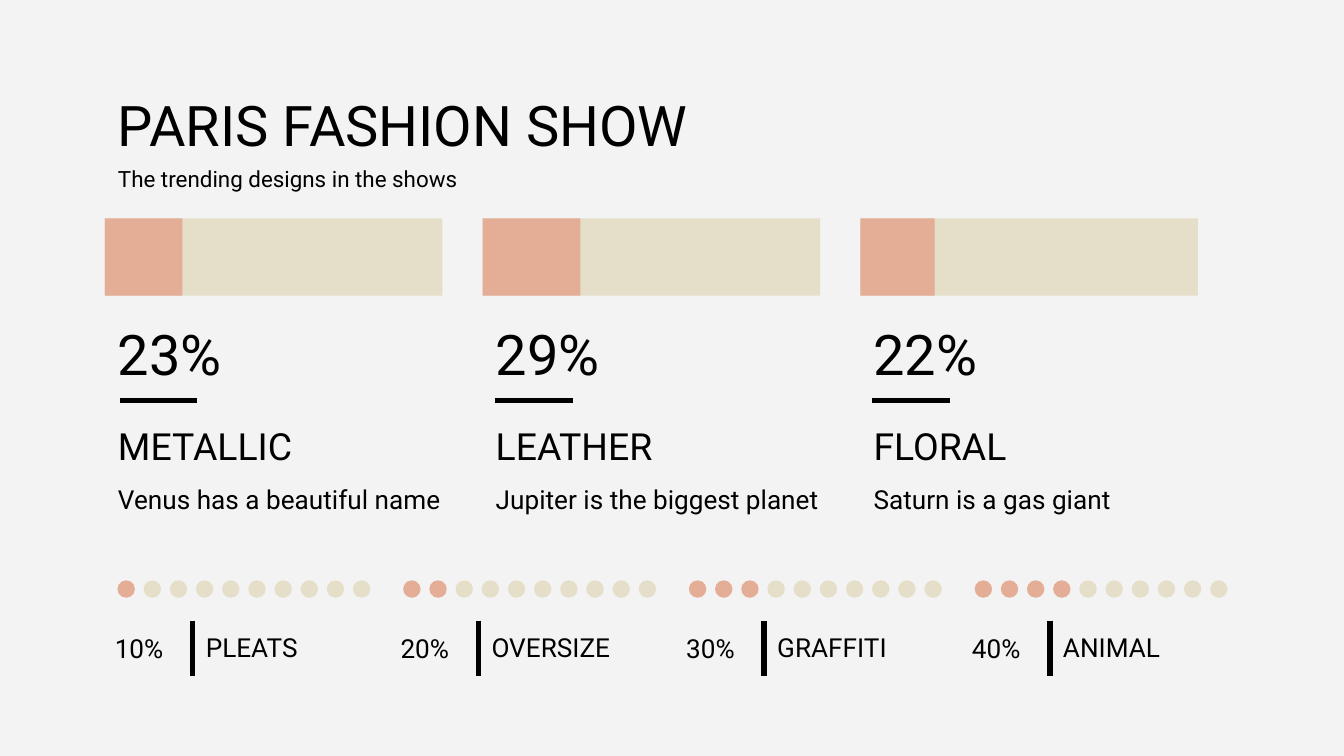
import pptx
import pptx.util
import pptx.dml.color
import pptx.enum.shapes
import pptx.enum.text
import pptx.oxml.ns
import lxml.etree

Cm = pptx.util.Cm
Kind = pptx.enum.shapes.MSO_SHAPE
Anchor = pptx.enum.text.MSO_ANCHOR

INK, SAND, ROSE, PAPER = "000000", "E5DEC9", "E3AD96", "F3F3F3"


def color(code):
    return pptx.dml.color.RGBColor.from_string(code)


class Page:
    font = "Roboto"

    def __init__(self, slide):
        self.slide = slide
        fill = slide.background.fill
        fill.solid()
        fill.fore_color.rgb = color(PAPER)

    def text(self, words, x, y, w, h, size, anchor=Anchor.TOP):
        box = self.slide.shapes.add_textbox(Cm(x), Cm(y), Cm(w), Cm(h))
        frame = box.text_frame
        frame.word_wrap = True
        frame.vertical_anchor = anchor
        frame.margin_left = frame.margin_right = Cm(0.25)
        frame.margin_top = frame.margin_bottom = Cm(0.25)
        run = frame.paragraphs[0].add_run()
        run.text = words
        run.font.name = self.font
        run.font.size = pptx.util.Pt(size)
        run.font.color.rgb = color(INK)

    def shape(self, kind, x, y, w, h, fill):
        item = self.slide.shapes.add_shape(kind, Cm(x), Cm(y), Cm(w), Cm(h))
        item.shadow.inherit = False
        item.fill.solid()
        item.fill.fore_color.rgb = color(fill)
        item.line.fill.background()

    def line(self, x1, y1, x2, y2):
        rule = self.slide.shapes.add_connector(
            pptx.enum.shapes.MSO_CONNECTOR.STRAIGHT,
            Cm(x1), Cm(y1), Cm(x2), Cm(y2))
        rule.line.color.rgb = color(INK)
        rule.line.width = pptx.util.Pt(3)
        lxml.etree.SubElement(rule._element.spPr,
                              pptx.oxml.ns.qn("a:effectLst"))


def main():
    deck = pptx.Presentation()
    deck.slide_width, deck.slide_height = Cm(25.4), Cm(14.29)
    page = Page(deck.slides.add_slide(deck.slide_layouts[6]))

    # Heading
    left = 1.98
    page.text("PARIS FASHION SHOW", left, 1.47, 21.44, 1.6, 30)
    page.text("The trending designs in the shows", left, 2.87, 21.44, 0.81, 12)

    # Three trends, each with a bar filled to its share
    trends = [
        (23, "METALLIC", "Venus has a beautiful name", 2.26),
        (29, "LEATHER", "Jupiter is the biggest planet", 9.35),
        (22, "FLORAL", "Saturn is a gas giant", 16.49),
    ]
    step, wide = 7.14, 6.38
    for i, (share, name, note, start) in enumerate(trends):
        x = left + i * step
        page.shape(Kind.RECTANGLE, x, 4.13, wide, 1.46, SAND)
        page.shape(Kind.RECTANGLE, x, 4.13, wide * share / 100, 1.46, ROSE)
        page.text(f"{share}%", x, 6.02, step, 1.32, 30, Anchor.MIDDLE)
        page.line(start, 7.57, start + 1.47, 7.57)
        page.text(name, x, 7.77, step, 1.32, 20, Anchor.BOTTOM)
        page.text(note, x, 8.89, step, 1.04, 14)

    # Four styles, each with ten dots, one per ten percent
    count, pitch = 10, 4.45 / 9
    for i, name in enumerate(["PLEATS", "OVERSIZE", "GRAFFITI", "ANIMAL"]):
        x = 1.92 + i * 5.4
        full = i + 1
        for k in range(count):
            page.shape(Kind.OVAL, x + 0.3 + k * pitch, 10.97, 0.33, 0.33,
                       ROSE if k < full else SAND)
        page.text(f"{full * 10}%", x, 11.73, 1.72, 1.04, 14, Anchor.MIDDLE)
        page.line(x + 1.72, 11.73, x + 1.72, 12.77)
        page.text(name, x + 1.72, 11.73, 3.66, 1.04, 14, Anchor.BOTTOM)

    deck.save("out.pptx")


if __name__ == "__main__":
    main()
